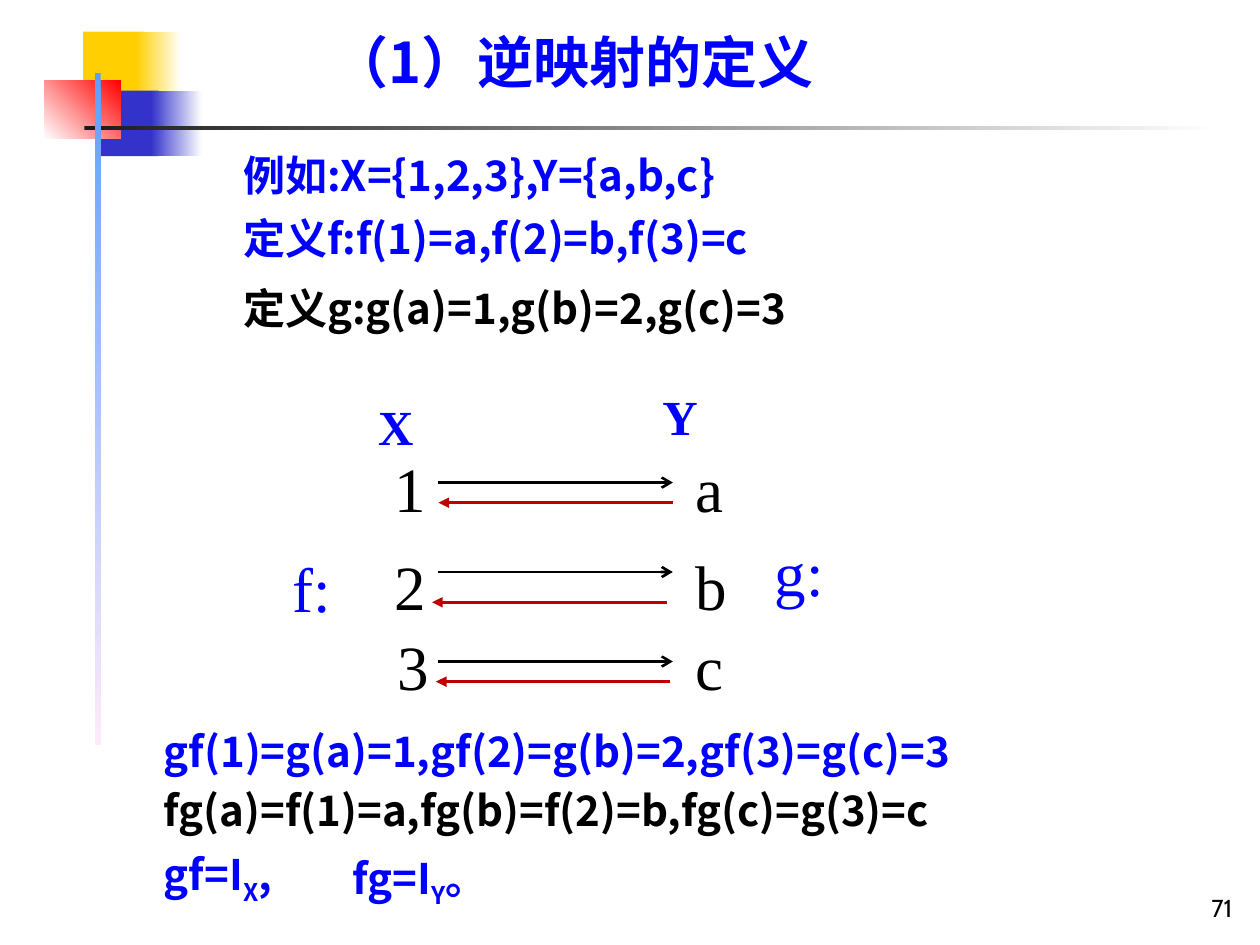
from lxml import etree
from pptx import Presentation
from pptx.dml.color import RGBColor
from pptx.enum.shapes import MSO_CONNECTOR as Connector, MSO_SHAPE as Shape
from pptx.enum.text import MSO_ANCHOR as Anchor, MSO_AUTO_SIZE as AutoSize, PP_ALIGN as Align
from pptx.oxml.ns import qn
from pptx.util import Inches, Pt

COLORS = {
    "blue": "0000FF", "black": "000000", "crimson": "C00000", "white": "FFFFFF",
    "yellow": "FFCF01", "indigo": "3333CC", "red": "FF0000",
    "charcoal": "1C1C1C", "sky": "5E9EFF", "pink": "FFEBFA",
}
SANS, SERIF, NUMBER = "Noto Sans CJK SC", "Times New Roman", "Cabin"
SUBSCRIPT = "-25000"


def rgb(name):
    return RGBColor.from_string(COLORS[name])


def add_run(paragraph, text, size, color, font=SANS, bold=False, baseline=None):
    run = paragraph.add_run()
    run.text = text
    run.font.size = Pt(size)
    run.font.bold = bold
    run.font.name = font
    run.font.color.rgb = rgb(color)
    properties = run.font._element
    east_asian = etree.Element(qn("a:ea"), typeface=font)
    properties.find(qn("a:latin")).addnext(east_asian)
    if baseline:
        properties.set("baseline", baseline)


def format_frame(shape, inset=(0, 0), spacing=0.9, align=Align.LEFT, anchor=Anchor.TOP):
    frame = shape.text_frame
    frame.word_wrap = True
    frame.auto_size = AutoSize.NONE
    frame.vertical_anchor = anchor
    frame.margin_left = frame.margin_right = Inches(inset[0])
    frame.margin_top = frame.margin_bottom = Inches(inset[1])
    paragraph = frame.paragraphs[0]
    paragraph.alignment = align
    paragraph.line_spacing = spacing
    paragraph.space_before = Pt(0)
    return paragraph


def add_text(slide, box, text, size, color, font=SANS, bold=False, **layout):
    shape = slide.shapes.add_textbox(*map(Inches, box))
    paragraph = format_frame(shape, **layout)
    add_run(paragraph, text, size, color, font, bold)
    return paragraph


def add_block(slide, box, start, end=None, angle=0):
    shape = slide.shapes.add_shape(Shape.RECTANGLE, *map(Inches, box))
    shape.shadow.inherit = False
    shape.line.fill.background()
    if end is None:
        shape.fill.solid()
        shape.fill.fore_color.rgb = rgb(start)
        return
    shape.fill.gradient()
    shape.fill.gradient_angle = angle
    for stop, color in zip(shape.fill.gradient_stops, (start, end)):
        stop.color.rgb = rgb(color)


def add_arrow(slide, start, end, y, color, width, head):
    arrow = slide.shapes.add_connector(
        Connector.STRAIGHT, Inches(start), Inches(y), Inches(end), Inches(y))
    arrow.line.color.rgb = rgb(color)
    arrow.line.width = Pt(width)
    etree.SubElement(arrow.line._get_or_add_ln(), qn("a:tailEnd"), type=head)
    etree.SubElement(arrow._element.spPr, qn("a:effectLst"))


def add_decoration(slide, left, top):
    blocks = [
        ((0.31, 0, 0.48, 0.52), "yellow", None, 0),
        ((0.73, 0, 0.36, 0.52), "yellow", "white", 0),
        ((0.45, 0.47, 0.46, 0.52), "indigo", None, 0),
        ((0.85, 0.47, 0.4, 0.52), "indigo", "white", 0),
        ((0, 0.39, 0.61, 0.46), "white", "red", 45),
        ((0.32, 0.75, 9, 0.03), "charcoal", "white", 0),
        ((0.4, 0.33, 0.05, 5.33), "sky", "pink", 270),
    ]
    for (x, y, width, height), start, end, angle in blocks:
        add_block(slide, (left + x, top + y, width, height), start, end, angle)


def add_title(slide, box):
    title = slide.shapes.title
    title.left, title.top, title.width, title.height = map(Inches, box)
    add_run(format_frame(title), "（1）逆映射的定义", 32, "blue", bold=True)


def add_definitions(slide, left, top):
    lines = [
        (0, 4.96, "例如:X={1,2,3},Y={a,b,c}", "blue"),
        (0.5, 5.2, "定义f:f(1)=a,f(2)=b,f(3)=c", "blue"),
        (1.06, 5.2, "定义g:g(a)=1,g(b)=2,g(c)=3", "black"),
    ]
    for y, width, text, color in lines:
        add_text(slide, (left, top + y, width, 0.36), text, 24, color, bold=True)


def add_mapping(slide, left, top):
    sets = [("X", 0.68, 0.08, 0.42, 0), ("Y", 2.84, 0, 0.63, 0.1)]
    for name, x, y, width, inset in sets:
        add_text(slide, (left + x, top + y, width, 0.42), name, 28, "blue",
                 SERIF, True, inset=(inset, 0))

    for name, x, y in [("f:", 0, 1.31), ("g:", 3.83, 1.18)]:
        add_text(slide, (left + x, top + y, 0.42, 0.54), name, 36, "blue", SERIF)

    rows = [
        ("1", "a", 0.4, 0.71, 0, 0.87, 0),
        ("2", "b", 1.18, 0.71, 0, 1.66, -0.05),
        ("3", "c", 1.81, 0.74, 0, 2.29, -0.02),
    ]
    for index, (source, target, y, source_x, _, back_y, shift) in enumerate(rows):
        for name, x in ((source, source_x), (target, 3.1)):
            add_text(slide, (left + x, top + y, 0.29, 0.7), name, 36, "black", SERIF,
                     inset=(0.1, 0.05), spacing=1, align=Align.CENTER)
        start, end = left + 1.16, left + 3.02
        add_arrow(slide, start, end, top + 0.71 * (index + 1), "black", 1.5, "arrow")
        add_arrow(slide, end + shift, start + shift, top + back_y, "crimson", 2, "triangle")


def add_conclusions(slide, left, top):
    lines = [
        (0, "gf(1)=g(a)=1,gf(2)=g(b)=2,gf(3)=g(c)=3", "blue"),
        (0.47, "fg(a)=f(1)=a,fg(b)=f(2)=b,fg(c)=g(3)=c", "black"),
    ]
    for y, text, color in lines:
        add_text(slide, (left, top + y, 7.56, 0.36), text, 24, color, bold=True)

    identities = [
        (0, 0.94, 1.1, "gf=I", "X", ","),
        (1.5, 0.97, 1.26, "fg=I", "Y", "。"),
    ]
    for x, y, width, text, subscript, ending in identities:
        paragraph = add_text(slide, (left + x, top + y, width, 0.41), text, 24, "blue", bold=True)
        add_run(paragraph, subscript, 24, "blue", bold=True, baseline=SUBSCRIPT)
        add_run(paragraph, ending, 24, "blue", bold=True)


def add_page_number(slide, box):
    add_text(slide, box, "71", 14, "black", NUMBER, inset=(0.1, 0.05), spacing=1,
             align=Align.RIGHT, anchor=Anchor.BOTTOM)


def main():
    presentation = Presentation()
    presentation.slide_width = Inches(10)
    presentation.slide_height = Inches(7.5)
    slide = presentation.slides.add_slide(presentation.slide_layouts[5])
    add_decoration(slide, 0.35, 0.25)
    add_page_number(slide, (7.8, 6.87, 2.08, 0.5))
    add_definitions(slide, 1.93, 1.23)
    add_title(slide, (2.64, 0.28, 4.25, 0.48))
    add_mapping(slide, 2.32, 3.12)
    add_conclusions(slide, 1.3, 5.8)
    presentation.save("out.pptx")


if __name__ == "__main__":
    main()
